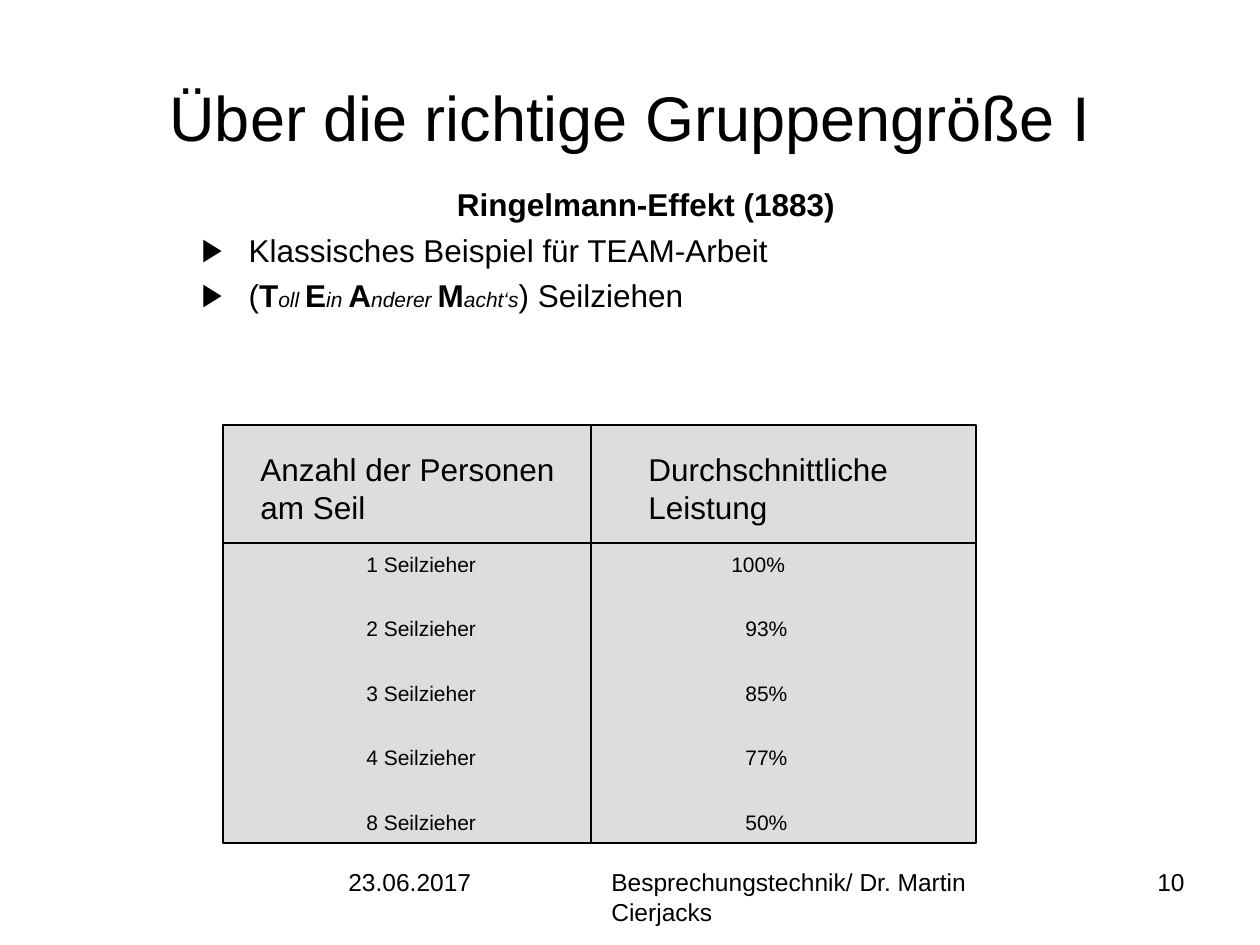
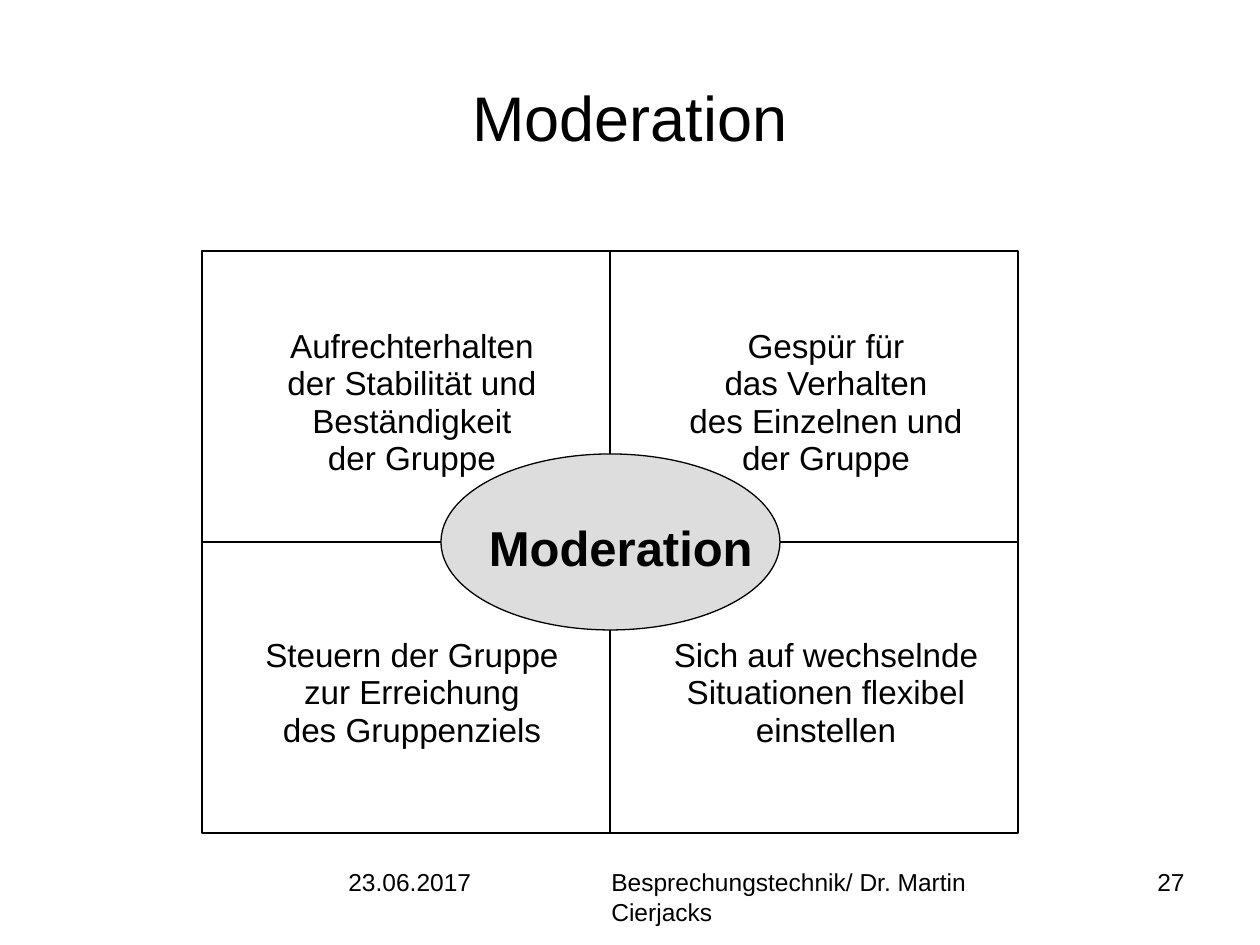
"""Build two slides on group size and moderation."""
from dataclasses import dataclass

from lxml import etree
from pptx import Presentation
from pptx import util as u
from pptx.dml.color import RGBColor
from pptx.enum import shapes, text
from pptx.oxml import ns


@dataclass(frozen=True)
class Theme:
    font: str = "Arial"
    ink: RGBColor = RGBColor(0, 0, 0)
    panel: RGBColor = RGBColor(0xDD, 0xDD, 0xDD)
    line: float = 0.75
    title: int = 36
    hub: int = 28
    quadrant: int = 19
    body: int = 18
    footer: int = 14
    small: int = 12


T = Theme()
EMU = 914400 / 126
ALIGN = text.PP_ALIGN


def px(*lengths):
    return [round(n * EMU) for n in lengths]


def write(sp, lines, size, bold=False, align=ALIGN.LEFT, anchor=text.MSO_ANCHOR.TOP,
          wrap=True, inset=None, spacing=None):
    tf = sp.text_frame
    tf.word_wrap, tf.auto_size, tf.vertical_anchor = wrap, text.MSO_AUTO_SIZE.NONE, anchor
    if inset is not None:
        tf.margin_left = tf.margin_top = tf.margin_right = tf.margin_bottom = inset
    for i, line in enumerate(lines):
        p = tf.add_paragraph() if i else tf.paragraphs[0]
        p.alignment = align
        if spacing:
            p.line_spacing = spacing
        for words, fmt in [(line, {})] if isinstance(line, str) else line:
            r = p.add_run()
            r.text = words
            r.font.name, r.font.color.rgb = T.font, T.ink
            r.font.size = u.Pt(fmt.get("size", size))
            r.font.bold, r.font.italic = fmt.get("bold", bold), fmt.get("italic", False)
    return tf


prs = Presentation()
prs.slide_width, prs.slide_height = px(1260, 945)

pages = []
for layout, title, number in [(1, "Über die richtige Gruppengröße I", "10"),
                              (5, "Moderation", "27")]:
    s = prs.slides.add_slide(prs.slide_layouts[layout])
    pages.append(s)
    sp = s.shapes.title
    sp.left, sp.top, sp.width, sp.height = px(63, 38, 1134, 157)
    write(sp, [title], T.title, align=ALIGN.CENTER, anchor=text.MSO_ANCHOR.MIDDLE)
    for x, w, words, align in [(336, 252, "23.06.2017", ALIGN.LEFT),
                               (599, 451, "Besprechungstechnik/ Dr. Martin Cierjacks", ALIGN.LEFT),
                               (903, 294, number, ALIGN.RIGHT)]:
        write(s.shapes.add_textbox(*px(x, 861, w, 66)), [words], T.footer, align=align)
size_slide, moderation_slide = pages

panels = []
s = size_slide
strong, aside = {"bold": True}, {"size": T.small, "italic": True}
sp = s.placeholders[1]
sp.left, sp.top, sp.width, sp.height = px(189, 179, 914, 218)
tf = write(sp, [
    [("Ringelmann-Effekt (1883)", strong)],
    "Klassisches Beispiel für TEAM-Arbeit",
    [("(", {}), ("T", strong), ("oll ", aside), ("E", strong), ("in ", aside),
     ("A", strong), ("nderer ", aside), ("M", strong), ("acht‘s", aside),
     (") Seilziehen", {})],
], T.body)
for i, p in enumerate(tf.paragraphs):
    p.space_before = u.Pt(4.3)
    pPr = p._p.get_or_add_pPr()
    indent = px(47)[0]
    pPr.set("marL", str(indent))
    pPr.set("indent", str(-indent))
    if i:
        etree.SubElement(pPr, ns.qn("a:buChar")).set("char", "▶")
    else:
        p.alignment = ALIGN.CENTER
        etree.SubElement(pPr, ns.qn("a:buNone"))

left, top, right, bottom = 223, 425, 976, 843
middle, head = 591, 543
sp = s.shapes.add_shape(shapes.MSO_SHAPE.RECTANGLE, *px(left, top, right - left, bottom - top))
panels.append((sp, T.panel))
for ends in [(middle, top, middle, bottom), (left, head, right, head)]:
    c = s.shapes.add_connector(shapes.MSO_CONNECTOR.STRAIGHT, *px(*ends))
    c.line.color.rgb, c.line.width = T.ink, u.Pt(T.line)
    etree.SubElement(c._element.spPr, ns.qn("a:effectLst"))
for x, w, heading in [(248, 320, ["Anzahl der Personen", "am Seil"]),
                      (636, 265, ["Durchschnittliche", "Leistung"])]:
    write(s.shapes.add_textbox(*px(x, 444, w, 88)), heading, T.body, wrap=False)
for i, (pullers, output) in enumerate([(1, 100), (2, 93), (3, 85), (4, 77), (8, 50)]):
    y = 556 + i * 258 // 4
    for x, w, words in [(354, 135, f"{pullers} Seilzieher"),
                        (719 if output == 100 else 733, 78 if output == 100 else 67, f"{output}%")]:
        write(s.shapes.add_textbox(*px(x, y, w, 25)), [words], T.small, wrap=False, spacing=0.5)

s = moderation_slide
cell_w, cell_h = 408, 291
quadrants = [
    (0, 0, ["Aufrechterhalten", "der Stabilität und", "Beständigkeit", "der Gruppe"]),
    (0, 1, ["Steuern der Gruppe", "zur Erreichung", "des Gruppenziels"]),
    (1, 0, ["Gespür für", "das Verhalten", "des Einzelnen und", "der Gruppe"]),
    (1, 1, ["Sich auf wechselnde", "Situationen flexibel", "einstellen"]),
]
for col, row, lines in quadrants:
    sp = s.shapes.add_shape(shapes.MSO_SHAPE.RECTANGLE,
                            *px(202 + col * cell_w, 251 + row * cell_h, cell_w, cell_h))
    panels.append((sp, None))
    write(s.shapes.add_textbox(*px(222 + col * 414, 328 + row * 309, 380, 36 * len(lines))),
          lines, T.quadrant, align=ALIGN.CENTER, inset=0, spacing=0.94)
sp = s.shapes.add_shape(shapes.MSO_SHAPE.OVAL, *px(441, 454, 339, 176))
panels.append((sp, T.panel))
write(s.shapes.add_textbox(*px(489, 517, 265, 59)), ["Moderation"], T.hub, bold=True,
      wrap=False, inset=0)

for sp, fill in panels:
    sp.shadow.inherit = False
    sp.line.color.rgb, sp.line.width = T.ink, u.Pt(T.line)
    if fill is None:
        sp.fill.background()
    else:
        sp.fill.solid()
        sp.fill.fore_color.rgb = fill

prs.save("out.pptx")
